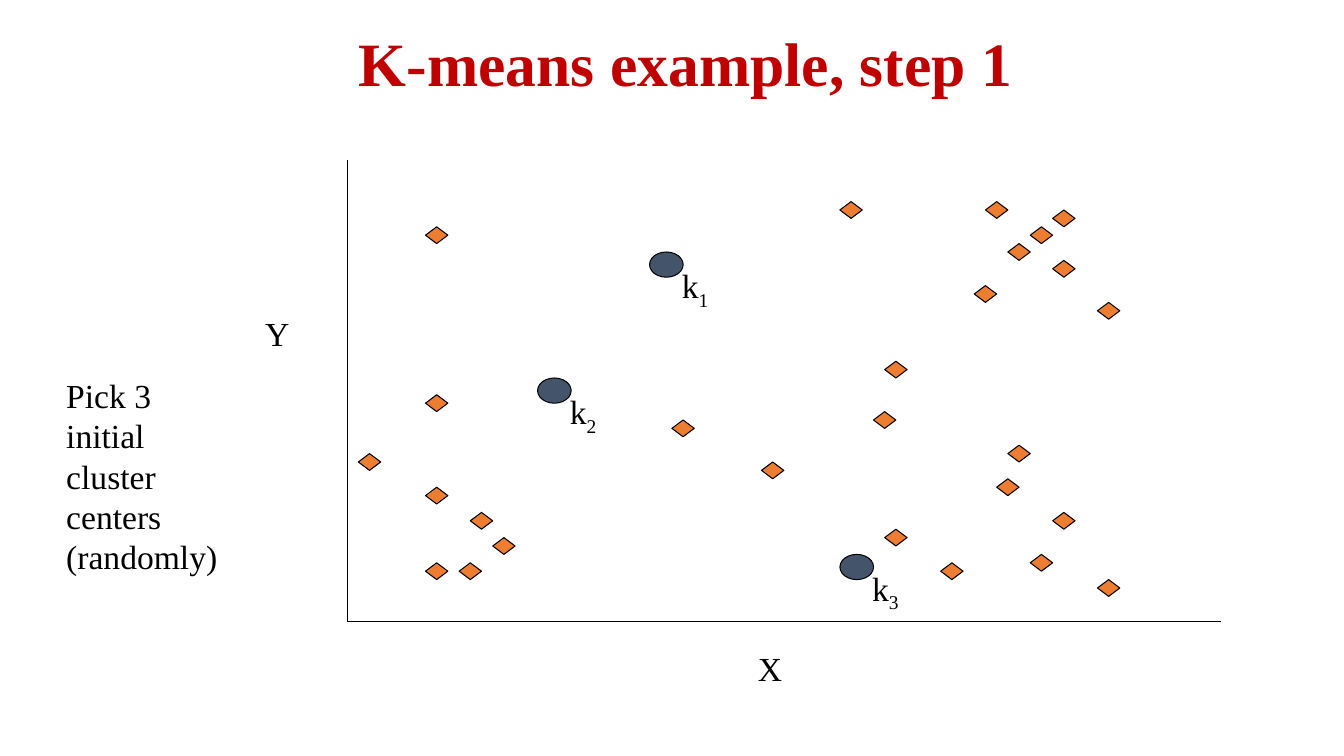
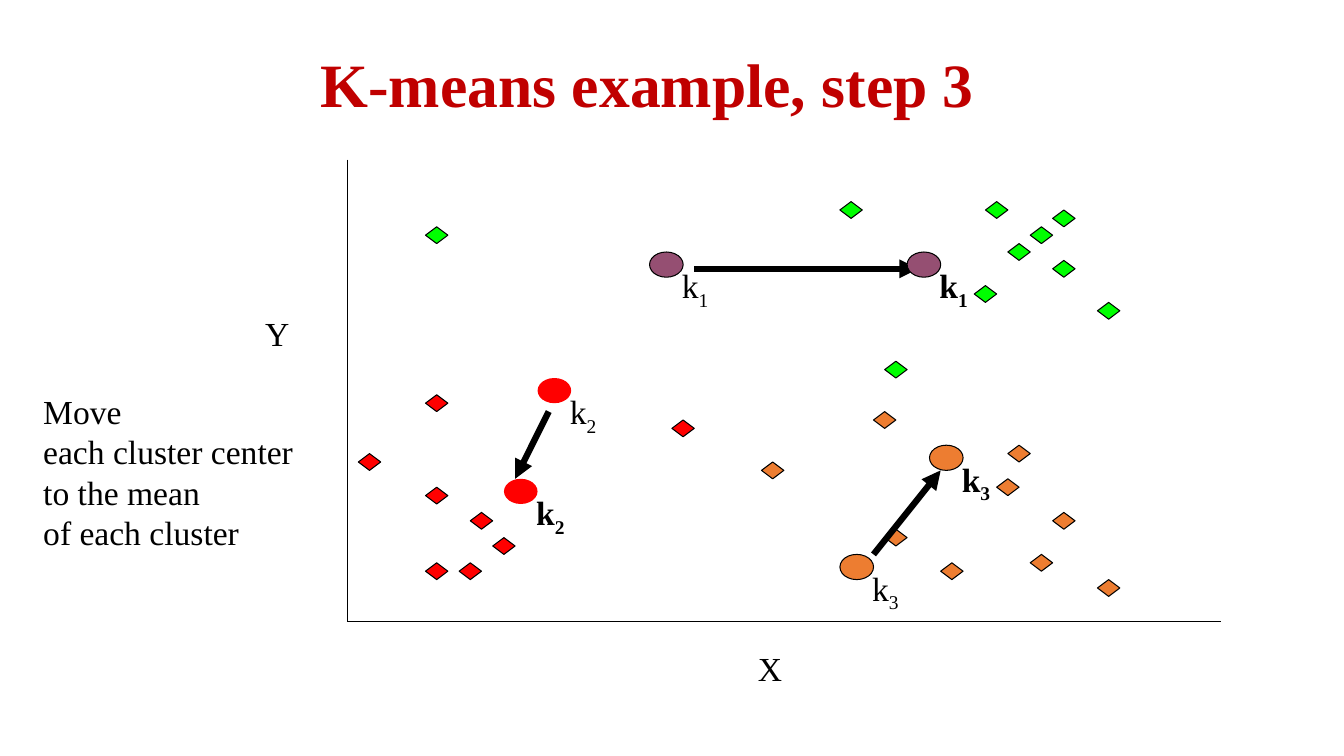
from lxml.etree import SubElement
from pptx import Presentation
from pptx.dml.color import RGBColor
from pptx.enum.shapes import MSO_CONNECTOR, MSO_SHAPE
from pptx.enum.text import MSO_ANCHOR, PP_ALIGN
from pptx.oxml.ns import qn
from pptx.util import Cm, Pt

COLORS = {
    "title": "C00000",
    "ink": "000000",
    "start": "44546A",
    "orange": "ED7D31",
    "red": "FF0000",
    "green": "00FF00",
    "purple": "954F72",
}
FONT = "Times New Roman"
COLUMN = 2.54 / 9
ROW = 2.54 / 12
AXIS_LEFT, AXIS_TOP, AXIS_RIGHT, AXIS_BOTTOM = 31, 19, 109, 74

POINTS = {
    "k1": [(38, 27), (88, 24), (94, 25), (92, 27), (90, 29), (94, 31),
           (98, 36), (75, 24), (79, 43), (87, 34)],
    "k2": [(42, 61), (44, 64), (41, 67), (38, 58), (38, 47), (38, 67),
           (32, 54), (60, 50)],
    "k3": [(79, 63), (84, 67), (89, 57), (78, 49), (68, 55), (94, 61),
           (92, 66), (90, 53), (98, 69)],
}
POINT_COLORS = {"k1": "green", "k2": "red", "k3": "orange"}
CENTER_COLORS = {"k1": "purple", "k2": "red", "k3": "orange"}
OLD_CENTERS = {"k1": (58, 30), "k2": (48, 45), "k3": (75, 66)}
NEW_CENTERS = {"k1": (81, 30), "k2": (45, 57), "k3": (83, 53)}
MOVES = [((62, 32), (82, 32)), ((49, 49), (46, 57)), ((78, 66), (84, 56))]


def color(name):
    return RGBColor.from_string(COLORS[name])


def on_grid(column, row):
    return Cm(column * COLUMN), Cm(row * ROW)


def add_run(paragraph, text, size=24, color_name="ink", bold=False):
    run = paragraph.add_run()
    run.text = text
    run.font.name = FONT
    run.font.size = Pt(size)
    run.font.bold = bold
    run.font.color.rgb = color(color_name)
    return run


def add_slide(presentation, title, left, top, width):
    slide = presentation.slides.add_slide(presentation.slide_layouts[5])
    shape = slide.shapes.title
    shape.left, shape.top = Cm(left), Cm(top)
    shape.width, shape.height = Cm(width), Cm(1.85)
    shape.text_frame.vertical_anchor = MSO_ANCHOR.MIDDLE
    paragraph = shape.text_frame.paragraphs[0]
    paragraph.alignment = PP_ALIGN.CENTER
    paragraph.line_spacing = 0.9
    add_run(paragraph, title, 44, "title", True)
    return slide


def add_text(slide, lines, left, top, width, height, wrap=False):
    shape = slide.shapes.add_textbox(Cm(left), Cm(top), Cm(width), Cm(height))
    frame = shape.text_frame
    frame.word_wrap = wrap
    for index, line in enumerate(lines):
        paragraph = frame.add_paragraph() if index else frame.paragraphs[0]
        add_run(paragraph, line)


def add_marker(slide, kind, position, size, color_name, outlined=True):
    shape = slide.shapes.add_shape(kind, *on_grid(*position), *on_grid(size, size))
    shape.shadow.inherit = False
    shape.fill.solid()
    shape.fill.fore_color.rgb = color(color_name)
    if outlined:
        shape.line.color.rgb = color("ink")
        shape.line.width = Pt(0.75)
    else:
        shape.line.fill.background()


def add_points(slide, cluster, color_name):
    for position in POINTS[cluster]:
        add_marker(slide, MSO_SHAPE.DIAMOND, position, 2, color_name)


def add_center(slide, name, position, color_name, bold=False):
    add_marker(slide, MSO_SHAPE.OVAL, position, 3, color_name, color_name != "red")
    column, row = position
    label = slide.shapes.add_textbox(*on_grid(column + 2, row + 1), *on_grid(7, 6))
    label.text_frame.word_wrap = True
    paragraph = label.text_frame.paragraphs[0]
    letter, number = name
    add_run(paragraph, letter, bold=bold)
    subscript = add_run(paragraph, number, bold=bold)
    subscript.font._element.set("baseline", "-25000")


def add_line(slide, start, end, width=0.75, arrow=False):
    connector = slide.shapes.add_connector(
        MSO_CONNECTOR.STRAIGHT, *on_grid(*start), *on_grid(*end))
    connector.line.color.rgb = color("ink")
    connector.line.width = Pt(width)
    if arrow:
        SubElement(connector.line._get_or_add_ln(), qn("a:tailEnd"), type="triangle")
    SubElement(connector._element.spPr, qn("a:effectLst"))


def add_axes(slide):
    origin = (AXIS_LEFT, AXIS_BOTTOM)
    add_line(slide, (AXIS_LEFT, AXIS_TOP), origin)
    add_line(slide, origin, (AXIS_RIGHT, AXIS_BOTTOM))
    add_text(slide, ["X"], 18.85, 16.2, 1.14, 1.3)
    add_text(slide, ["Y"], 6.43, 7.75, 1.14, 1.3)


def build_pick_slide(presentation):
    slide = add_slide(presentation, "K-means example, step 1", 2.54, 0.76, 29.49)
    for cluster in POINTS:
        add_points(slide, cluster, "orange")
    add_axes(slide)
    for name, position in OLD_CENTERS.items():
        add_center(slide, name, position, "start")
    add_text(slide, ["Pick 3", "initial", "cluster", "centers", "(randomly)"],
             1.42, 9.32, 4.34, 6.4)


def build_move_slide(presentation):
    slide = add_slide(presentation, "K-means example, step 3", 0.84, 1.27, 30.96)
    for cluster, color_name in POINT_COLORS.items():
        add_points(slide, cluster, color_name)
    for start, end in MOVES:
        add_line(slide, start, end, 4.5, True)
    add_axes(slide)
    add_text(slide, ["Move", "each cluster center", "to the mean", "of each cluster"],
             0.84, 9.73, 7.9, 5.38, True)
    for name, color_name in CENTER_COLORS.items():
        add_center(slide, name, OLD_CENTERS[name], color_name)
        add_center(slide, name, NEW_CENTERS[name], color_name, True)


def main():
    presentation = Presentation()
    presentation.slide_width, presentation.slide_height = Cm(33.87), Cm(19.05)
    build_pick_slide(presentation)
    build_move_slide(presentation)
    presentation.save("out.pptx")


if __name__ == "__main__":
    main()
